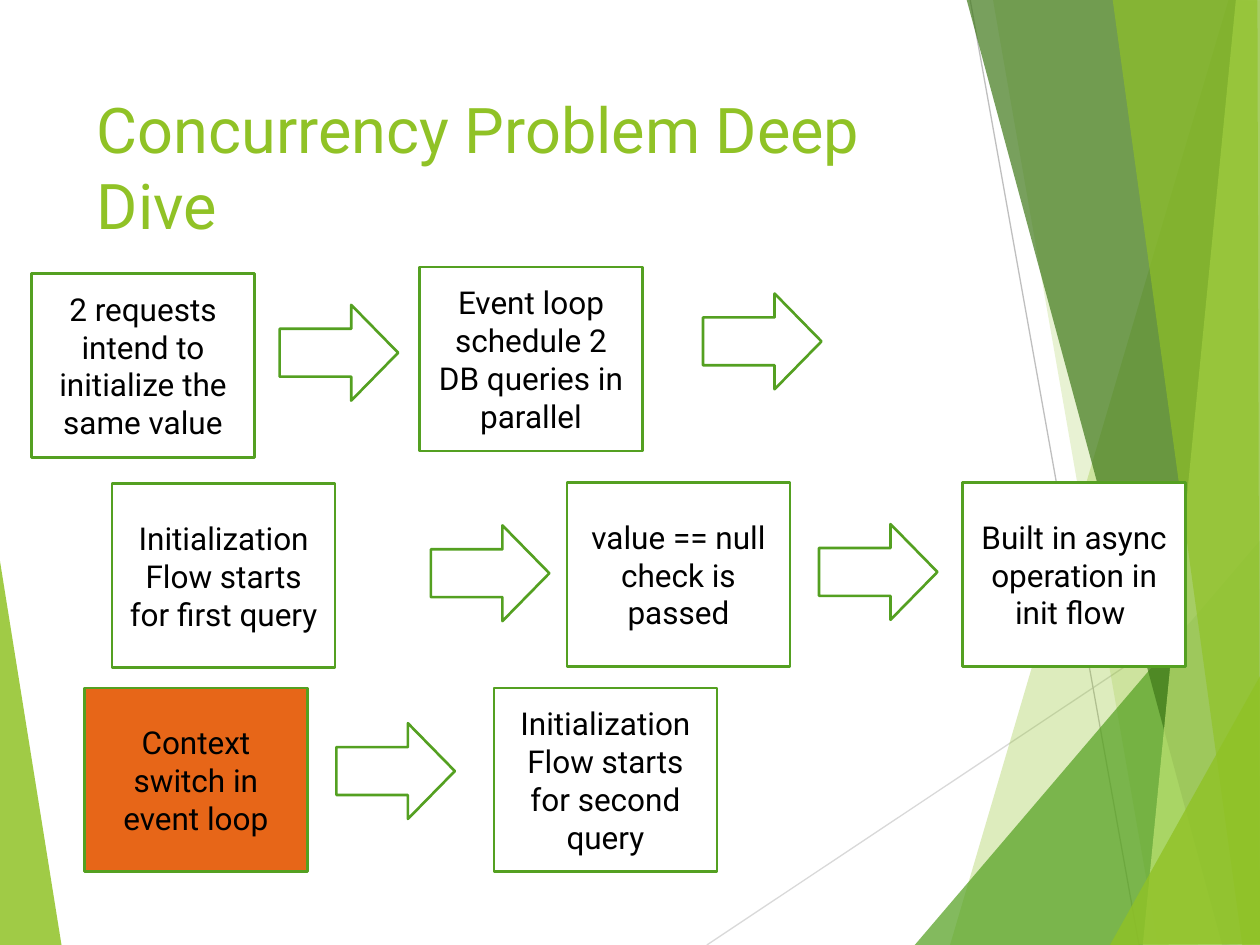
from dataclasses import dataclass

import pptx
import pptx.dml.color
import pptx.enum.shapes
import pptx.enum.text
import pptx.oxml.ns
import pptx.oxml.xmlchemy
import pptx.util
from pptx.util import Inches

SHAPE = pptx.enum.shapes.MSO_SHAPE


@dataclass(frozen=True)
class Theme:
    font: str = "Roboto"
    title_size: int = 36
    step_size: int = 18
    outline_width: float = 1.5
    hairline_width: float = 0.75
    lime: str = "90C226"
    green: str = "54A021"
    forest: str = "3F7819"
    pale_lime: str = "C0E474"
    light_gray: str = "D9D9D9"
    gray: str = "BFBFBF"
    paper: str = "FFFFFF"
    ink: str = "000000"
    highlight: str = "E76618"


THEME = Theme()

STEP_SIZE = (1.77, 1.46)
ARROW_SIZE = (0.94, 0.76)

LEFT_FACET = ([(-0.01, 4.39), (0.49, 7.51), (-0.01, 7.5)], THEME.lime, 85)
HAIRLINES = [
    ((5.61, 7.5), (10.01, 4.57), THEME.light_gray),
    ((7.7, 0), (9.04, 7.5), THEME.gray),
]
# Corner points, colour, opacity in percent
RIGHT_FACETS = [
    ([(9.75, 0), (7.54, 7.5), (10.02, 7.51), (10.01, 0.01)], THEME.lime, 30),
    ([(7.88, -0.01), (9.19, 7.5), (10.01, 7.5), (10.01, -0.01)], THEME.lime, 20),
    ([(7.26, 7.5), (10, 4.29), (10.01, 7.5)], THEME.green, 72),
    ([(7.67, -0.01), (9.7, 7.5), (10.01, 7.49), (10.01, -0.01)], THEME.forest, 70),
    ([(9.81, -0.01), (9.07, 7.5), (10.01, 7.5), (10, -0.01)], THEME.pale_lime, 70),
    ([(8.83, -0.01), (9.86, 7.5), (10, 7.5), (9.98, -0.01)], THEME.lime, 65),
    ([(8.81, 7.5), (10.01, 5.35), (10.01, 7.49)], THEME.lime, 80),
]

STEPS = [
    (0.25, 2.17, "2 requests intend to initialize the same value", THEME.paper),
    (3.33, 2.12, "Event loop schedule 2 DB queries in parallel", THEME.paper),
    (0.89, 3.84, "Initialization Flow starts for first query", THEME.paper),
    (4.5, 3.83, "value == null check is passed", THEME.paper),
    (7.64, 3.83, "Built in async operation in init flow ", THEME.paper),
    (0.67, 5.46, "Context switch in event loop", THEME.highlight),
    (3.92, 5.46, "Initialization Flow starts for second query", THEME.paper),
]
ARROWS = [(2.22, 2.42), (5.58, 2.33), (3.42, 4.17), (6.5, 4.16), (2.67, 5.74)]


def rgb(color):
    return pptx.dml.color.RGBColor.from_string(color)


def paint(shape, color):
    shape.shadow.inherit = False
    shape.fill.solid()
    shape.fill.fore_color.rgb = rgb(color)


def add_facet(slide, corners, color, opacity):
    """Draw a translucent polygon without an outline."""
    points = [(Inches(x), Inches(y)) for x, y in corners]
    builder = slide.shapes.build_freeform(*points[0], scale=1.0)
    builder.add_line_segments(points[1:], close=True)
    facet = builder.convert_to_shape()
    paint(facet, color)
    facet.line.fill.background()
    color_node = facet._element.spPr.find(
        "/".join(pptx.oxml.ns.qn(tag) for tag in ("a:solidFill", "a:srgbClr"))
    )
    alpha = pptx.oxml.xmlchemy.OxmlElement("a:alpha")
    alpha.set("val", str(opacity * 1000))
    color_node.append(alpha)


def add_hairline(slide, start, end, color):
    hairline = slide.shapes.add_connector(
        pptx.enum.shapes.MSO_CONNECTOR.STRAIGHT,
        *(Inches(value) for value in (*start, *end)),
    )
    hairline.line.color.rgb = rgb(color)
    hairline.line.width = pptx.util.Pt(THEME.hairline_width)
    hairline._element.spPr.append(pptx.oxml.xmlchemy.OxmlElement("a:effectLst"))


def write(frame, text, size, color):
    frame.word_wrap = True
    run = frame.paragraphs[0].add_run()
    run.text = text
    run.font.name = THEME.font
    run.font.size = pptx.util.Pt(size)
    run.font.color.rgb = rgb(color)


def add_title(slide, text):
    title = slide.shapes.add_textbox(
        Inches(0.67), Inches(0.67), Inches(6.94), Inches(1.44)
    )
    write(title.text_frame, text, THEME.title_size, THEME.lime)


def add_outlined(slide, kind, left, top, size, color):
    shape = slide.shapes.add_shape(
        kind, Inches(left), Inches(top), Inches(size[0]), Inches(size[1])
    )
    paint(shape, color)
    shape.line.color.rgb = rgb(THEME.green)
    shape.line.width = pptx.util.Pt(THEME.outline_width)
    return shape


def add_step(slide, left, top, text, color):
    step = add_outlined(slide, SHAPE.RECTANGLE, left, top, STEP_SIZE, color)
    frame = step.text_frame
    frame.vertical_anchor = pptx.enum.text.MSO_ANCHOR.MIDDLE
    frame.paragraphs[0].alignment = pptx.enum.text.PP_ALIGN.CENTER
    write(frame, text, THEME.step_size, THEME.ink)


def add_arrow(slide, left, top):
    arrow = add_outlined(
        slide, SHAPE.RIGHT_ARROW, left, top, ARROW_SIZE, THEME.paper
    )
    arrow.adjustments[0] = 0.5
    arrow.adjustments[1] = 0.49


def main():
    deck = pptx.Presentation()
    deck.slide_width, deck.slide_height = Inches(10), Inches(7.5)
    slide = deck.slides.add_slide(deck.slide_layouts[6])
    add_facet(slide, *LEFT_FACET)
    for hairline in HAIRLINES:
        add_hairline(slide, *hairline)
    for facet in RIGHT_FACETS:
        add_facet(slide, *facet)
    add_title(slide, "Concurrency Problem Deep Dive")
    for step in STEPS:
        add_step(slide, *step)
    for arrow in ARROWS:
        add_arrow(slide, *arrow)
    deck.save("out.pptx")


if __name__ == "__main__":
    main()
